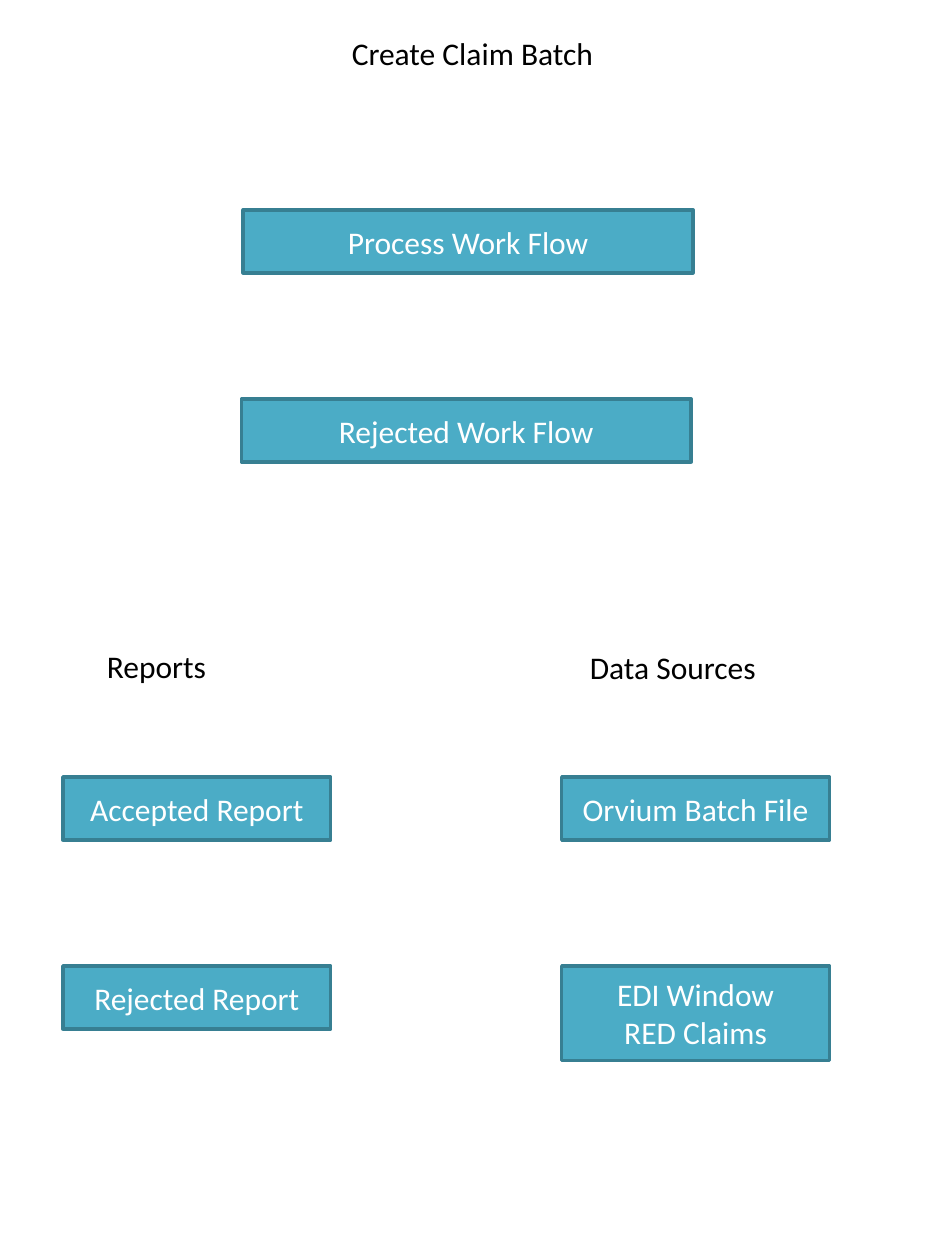
from pptx import Presentation
from pptx.dml.color import RGBColor
from pptx.enum.shapes import MSO_SHAPE
from pptx.enum.text import MSO_ANCHOR, MSO_AUTO_SIZE, PP_ALIGN
from pptx.util import Pt

RECT = MSO_SHAPE.RECTANGLE
MIDDLE = MSO_ANCHOR.MIDDLE
GROW = MSO_AUTO_SIZE.SHAPE_TO_FIT_TEXT
LEFT, CENTER = PP_ALIGN.LEFT, PP_ALIGN.CENTER

FONT, SIZE = "Calibri", 18
FILL, BORDER, WHITE, BLACK = "4BACC6", "377F92", "FFFFFF", "000000"
ROW_STEP = 108      # top of one button to top of the next
BUTTON_H = 36
HEADING_H = 29


def rgb(value):
    return RGBColor.from_string(value)


def write(tf, text, color, align):
    tf.word_wrap = True
    tf.text = text
    for p in tf.paragraphs:
        p.alignment = align
        for r in p.runs:
            r.font.name = FONT
            r.font.size = Pt(SIZE)
            r.font.color.rgb = rgb(color)


def add_heading(s, x, y, w, text, align=LEFT):
    sp = s.shapes.add_textbox(Pt(x), Pt(y), Pt(w), Pt(HEADING_H))
    write(sp.text_frame, text, BLACK, align)
    sp.text_frame.auto_size = GROW


def add_button(s, x, y, w, text, h=BUTTON_H):
    sp = s.shapes.add_shape(RECT, Pt(x), Pt(y), Pt(w), Pt(h))
    sp.shadow.inherit = False
    sp.fill.solid()
    sp.fill.fore_color.rgb = rgb(FILL)
    sp.line.color.rgb = rgb(BORDER)
    sp.line.width = Pt(2)
    sp.text_frame.vertical_anchor = MIDDLE
    write(sp.text_frame, text, WHITE, CENTER)


def add_work_flows(s, x, y, w):
    add_button(s, x + 1, y, w, "Process Work Flow")
    add_button(s, x, y + ROW_STEP, w, "Rejected Work Flow")


def add_reports(s, x, y, w):
    add_heading(s, x + 18, y, w, "Reports")
    add_button(s, x, y + 78, w, "Accepted Report")
    add_button(s, x, y + 78 + ROW_STEP, w, "Rejected Report")


def add_data_sources(s, x, y, w):
    add_heading(s, x + 9, y + 1, w, "Data Sources")
    add_button(s, x, y + 78, w, "Orvium Batch File")
    # Taller button for two lines
    add_button(s, x, y + 78 + ROW_STEP, w, "EDI Window\nRED Claims", h=54)


def main():
    prs = Presentation()
    prs.slide_width, prs.slide_height = Pt(540), Pt(720)
    s = prs.slides.add_slide(prs.slide_layouts[6])

    # Title
    add_heading(s, 0, 16, 540, "Create Claim Batch", CENTER)
    # Work flow buttons
    add_work_flows(s, 138, 120, 257)
    # Two lower columns
    add_reports(s, 36, 366, 153)
    add_data_sources(s, 321, 366, 153)

    prs.save("out.pptx")


if __name__ == "__main__":
    main()
